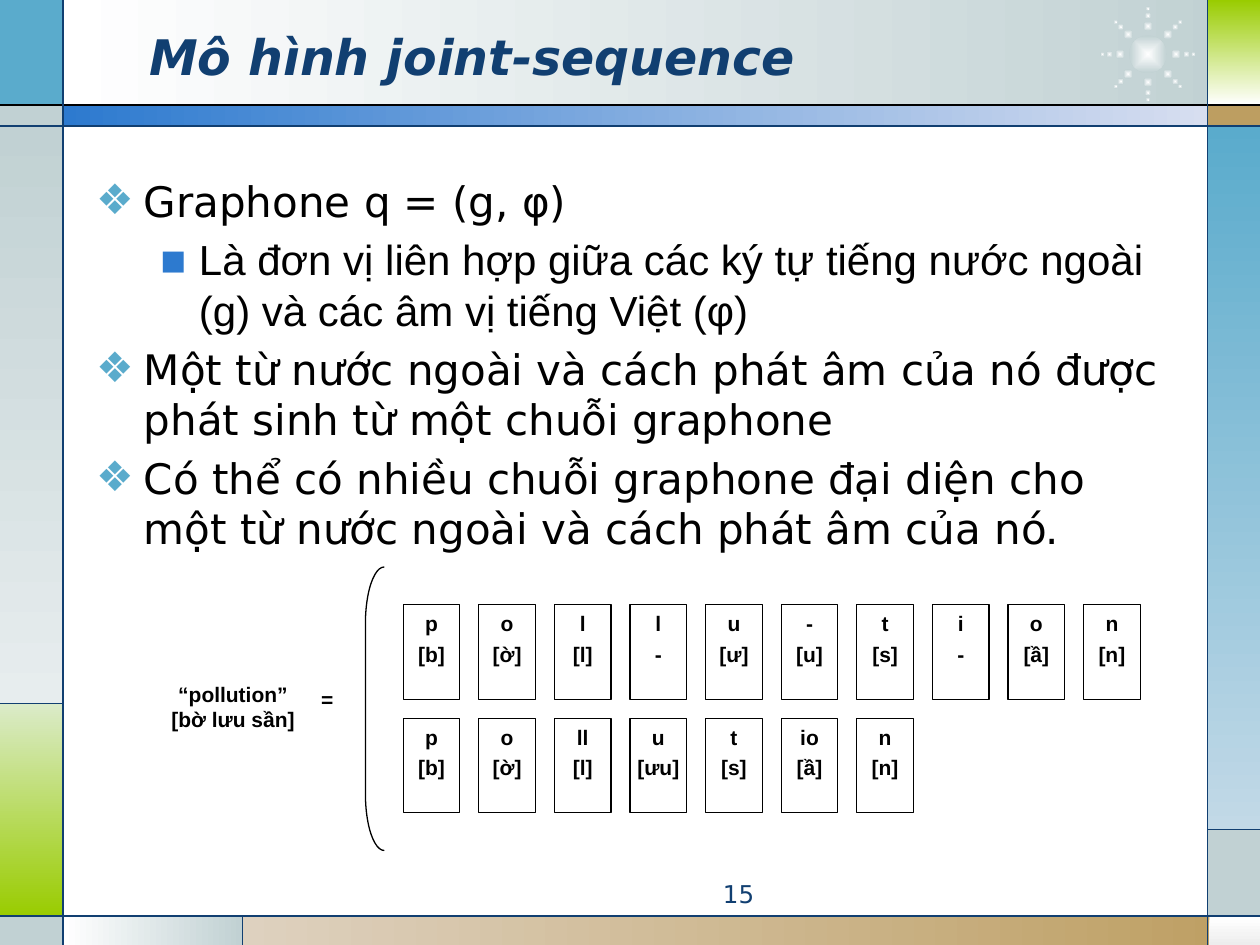
"""Build the slide on the joint-sequence model, with graphone boxes below the bullets."""
from math import cos, pi, sin

from lxml.etree import SubElement
from pptx import Presentation
from pptx.dml.color import RGBColor
from pptx.enum.shapes import MSO_CONNECTOR as Connector, MSO_SHAPE as Shape
from pptx.enum.text import MSO_ANCHOR as Anchor, PP_ALIGN as Align
from pptx.oxml.ns import qn
from pptx.util import Pt

COLORS = {
    "white": "FFFFFF", "black": "000000", "navy": "113F71", "blue": "2D7ACF",
    "pale_blue": "D7DEF0", "sky": "5AABCC", "pale_sky": "C2D9E7", "gray": "C1D1D3",
    "pale_gray": "E7EDEE", "silver": "EDEDED", "green": "99CC00",
    "pale_green": "DBEBC9", "tan": "BD9E61", "pale_tan": "DED1BF",
}
RIGHT, DOWN = 0, 270
PANELS = [
    (36, 0, 667.5, 60.5, ("white", "gray"), RIGHT),
    (0, 0, 36, 60.5, ("sky",), None),
    (0, 60, 36, 12, ("gray",), None),
    (0, 72, 36, 330, ("gray", "pale_gray"), DOWN),
    (0, 402, 36, 122, ("pale_green", "green"), DOWN),
    (0, 524, 36, 16, ("gray",), None),
    (36, 523.5, 102.5, 16.5, ("white", "gray"), RIGHT),
    (138.5, 523.5, 581.5, 16.5, ("pale_tan", "tan"), RIGHT),
    (691, 524, 29, 16, ("white", "silver"), DOWN),
    (690, 474, 30, 50, ("gray",), None),
    (690, 72, 30, 402, ("sky", "pale_sky"), DOWN),
    (690, 60, 30, 12, ("tan",), None),
    (690, 0, 30, 60, ("green", "white"), DOWN),
    (36, 60, 654, 12, ("blue", "pale_blue"), RIGHT),
]
RULES = [
    (0, 60, 720, 60, "black"), (0, 72, 720, 72, "navy"),
    (0, 523.5, 720, 523.5, "navy"), (36, 0, 36, 540, "navy"),
    (690, 0, 690, 540, "navy"), (0, 402, 36, 402, "navy"),
    (138.5, 523.5, 138.5, 540, "navy"), (690, 474, 720, 474, "navy"),
]
STAR_CENTER = (656, 31)
STAR_DOTS = [(16, 5.4), (22, 3.6), (26, 2.5)]
BULLETS = [
    (0, "Graphone q = (g, φ)"),
    (1, "Là đơn vị liên hợp giữa các ký tự tiếng nước ngoài (g) và các âm vị tiếng Việt (φ)"),
    (0, "Một từ nước ngoài và cách phát âm của nó được phát sinh từ một chuỗi graphone"),
    (0, "Có thể có nhiều chuỗi graphone đại diện cho một từ nước ngoài và cách phát âm của nó."),
]
BULLET_STYLES = [("❖", "sky", 27, -27, "DejaVu Sans"), ("▪", "blue", 58.5, -22.5, "Arial")]
GRAPHONE_ROWS = [
    [("p", "[b]"), ("o", "[ờ]"), ("l", "[l]"), ("l", "-"), ("u", "[ư]"),
     ("-", "[u]"), ("t", "[s]"), ("i", "-"), ("o", "[ầ]"), ("n", "[n]")],
    [("p", "[b]"), ("o", "[ờ]"), ("ll", "[l]"), ("u", "[ưu]"), ("t", "[s]"),
     ("io", "[ầ]"), ("n", "[n]")],
]


class SlideBuilder:
    """Hold the style and the current slide, and draw each kind of element."""

    heading_font, label_font, line_width = "DejaVu Sans", "Arial", 0.75

    def __init__(self, slide):
        self.slide = slide

    def color(self, name):
        return RGBColor.from_string(COLORS[name])

    def format_runs(self, paragraph, size, font, color, bold=False, italic=False):
        for run in paragraph.runs:
            run.font.size, run.font.name = Pt(size), font
            run.font.bold, run.font.italic = bold, italic
            run.font.color.rgb = self.color(color)

    def shape(self, kind, left, top, width, height, colors=(), angle=None, outline=None):
        shape = self.slide.shapes.add_shape(kind, Pt(left), Pt(top), Pt(width), Pt(height))
        shape.shadow.inherit = False
        if len(colors) == 2:
            shape.fill.gradient()
            for stop, name in zip(shape.fill.gradient_stops, colors):
                stop.color.rgb = self.color(name)
            shape.fill.gradient_angle = angle
        elif colors:
            shape.fill.solid()
            shape.fill.fore_color.rgb = self.color(colors[0])
        else:
            shape.fill.background()
        if outline:
            shape.line.color.rgb = self.color(outline)
            shape.line.width = Pt(self.line_width)
        else:
            shape.line.fill.background()
        return shape

    def glow_dot(self, center_x, center_y, size):
        dot = self.shape(Shape.OVAL, center_x - size / 2, center_y - size / 2, size, size,
                         ("white", "gray"), RIGHT)
        gradient = dot.element.spPr.find(qn("a:gradFill"))
        gradient.remove(gradient.find(qn("a:lin")))
        radial = SubElement(gradient, qn("a:path"), {"path": "shape"})
        SubElement(radial, qn("a:fillToRect"), dict.fromkeys("ltrb", "50000"))

    def star(self, center, dots, rays=8):
        center_x, center_y = center
        self.glow_dot(center_x, center_y, 21.6)
        for ray in range(rays):
            angle = 2 * pi * ray / rays
            for radius, size in dots:
                self.glow_dot(center_x + radius * cos(angle), center_y + radius * sin(angle), size)

    def rule(self, start_x, start_y, end_x, end_y, color):
        line = self.slide.shapes.add_connector(
            Connector.STRAIGHT, Pt(start_x), Pt(start_y), Pt(end_x), Pt(end_y))
        line.line.color.rgb = self.color(color)
        line.line.width = Pt(self.line_width)
        SubElement(line.element.spPr, qn("a:effectLst"))

    def placeholder(self, index, left, top, width, height):
        shape = self.slide.placeholders[index]
        shape.left, shape.top, shape.width, shape.height = map(Pt, (left, top, width, height))
        shape.element.getparent().append(shape.element)
        return shape.text_frame

    def title(self, text, *box):
        frame = self.placeholder(0, *box)
        frame.text, frame.vertical_anchor = text, Anchor.MIDDLE
        frame.paragraphs[0].alignment = Align.LEFT
        self.format_runs(frame.paragraphs[0], 28, self.heading_font, "navy", True, True)

    def bullets(self, items, *box):
        frame = self.placeholder(1, *box)
        frame.text = "\n".join(text for _, text in items)
        for index, (paragraph, (level, _)) in enumerate(zip(frame.paragraphs, items)):
            symbol, color, margin, indent, font = BULLET_STYLES[level]
            paragraph.level = level
            properties = paragraph._p.get_or_add_pPr()
            properties.set("marL", str(Pt(margin)))
            properties.set("indent", str(Pt(indent)))
            bullet_color = SubElement(properties, qn("a:buClr"))
            SubElement(bullet_color, qn("a:srgbClr"), val=COLORS[color])
            SubElement(properties, qn("a:buFont"), typeface=self.heading_font)
            SubElement(properties, qn("a:buChar"), char=symbol)
            paragraph.space_before = Pt(4.8 if index else 0)
            self.format_runs(paragraph, 24, font, "black")

    def fill_text(self, shape, text, align, insets=(7.2, 3.6), size=12, font=label_font,
                  color="black", bold=True):
        frame = shape.text_frame
        frame.text, frame.word_wrap, frame.vertical_anchor = text, True, Anchor.TOP
        frame.margin_left = frame.margin_right = Pt(insets[0])
        frame.margin_top = frame.margin_bottom = Pt(insets[1])
        for index, paragraph in enumerate(frame.paragraphs):
            paragraph.alignment = align
            paragraph.space_before = Pt(3 if index else 0)
            self.format_runs(paragraph, size, font, color, bold)

    def label(self, text, left, top, width, height, align, **style):
        box = self.slide.shapes.add_textbox(Pt(left), Pt(top), Pt(width), Pt(height))
        self.fill_text(box, text, align, **style)

    def graphones(self, rows, left, top, pitch_x, pitch_y, width, height):
        for row, pairs in enumerate(rows):
            for column, pair in enumerate(pairs):
                cell = self.shape(Shape.RECTANGLE, left + column * pitch_x, top + row * pitch_y,
                                  width, height, ("white",), outline="black")
                self.fill_text(cell, "\n".join(pair), Align.CENTER, (1.44, 3.6))


def main():
    presentation = Presentation()
    presentation.slide_width, presentation.slide_height = Pt(720), Pt(540)
    builder = SlideBuilder(presentation.slides.add_slide(presentation.slide_layouts[1]))
    for left, top, width, height, colors, angle in PANELS:
        builder.shape(Shape.RECTANGLE, left, top, width, height, colors, angle)
    builder.star(STAR_CENTER, STAR_DOTS)
    for rule in RULES:
        builder.rule(*rule)
    builder.title("Mô hình joint-sequence", 78, 9.5, 528, 44.5)
    builder.bullets(BULLETS, 48, 96.5, 631.5, 387.5)
    builder.label("15", 270, 499, 168, 19.5, Align.RIGHT, size=14,
                  font=builder.heading_font, color="navy", bold=False)
    builder.label("=", 176.4, 388.8, 21, 25.2, Align.LEFT)
    builder.label("“pollution”\v[bờ lưu sần]", 90, 388.8, 86.4, 43.2, Align.CENTER,
                  insets=(1.44, 0.72))
    bracket = builder.shape(Shape.LEFT_BRACKET, 208.8, 324, 10.8, 162, outline="black")
    bracket.adjustments[0] = 3.01
    builder.graphones(GRAPHONE_ROWS, 230.4, 345.6, 43.2, 64.8, 32.4, 54)
    presentation.save("out.pptx")


if __name__ == "__main__":
    main()
